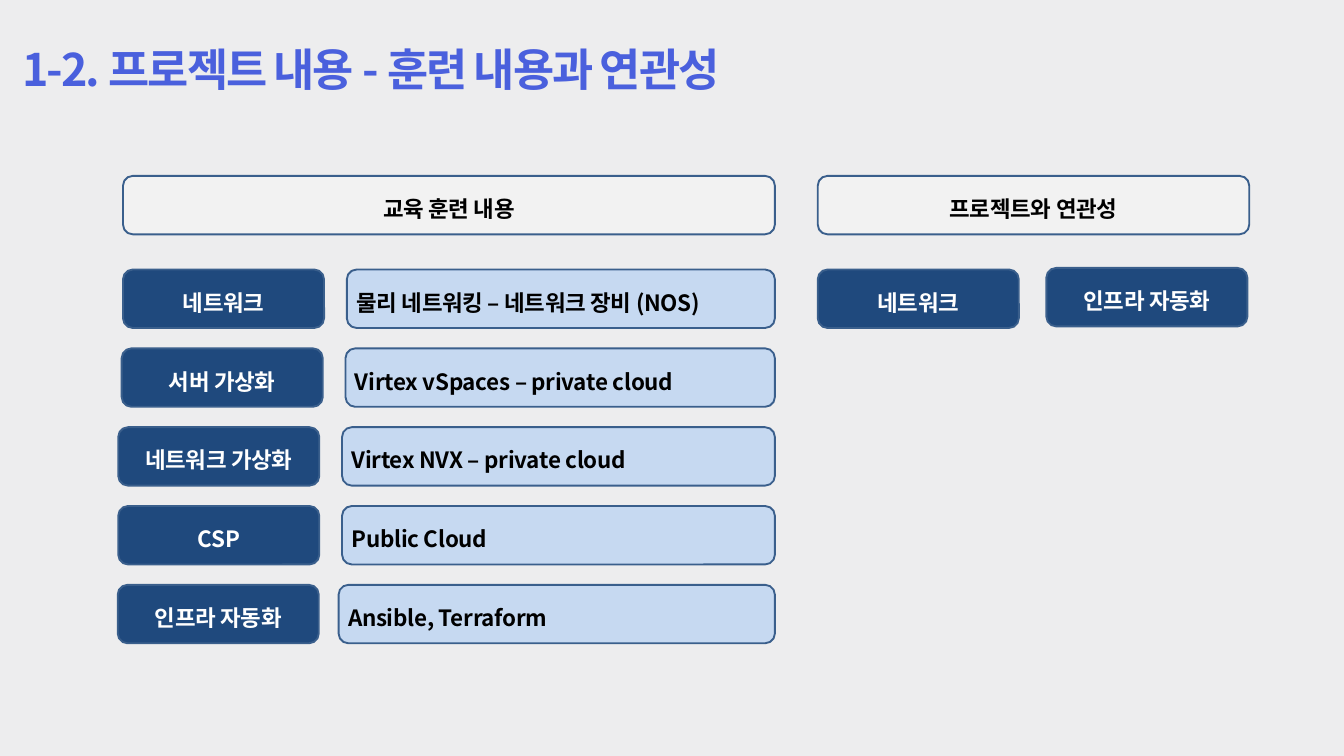
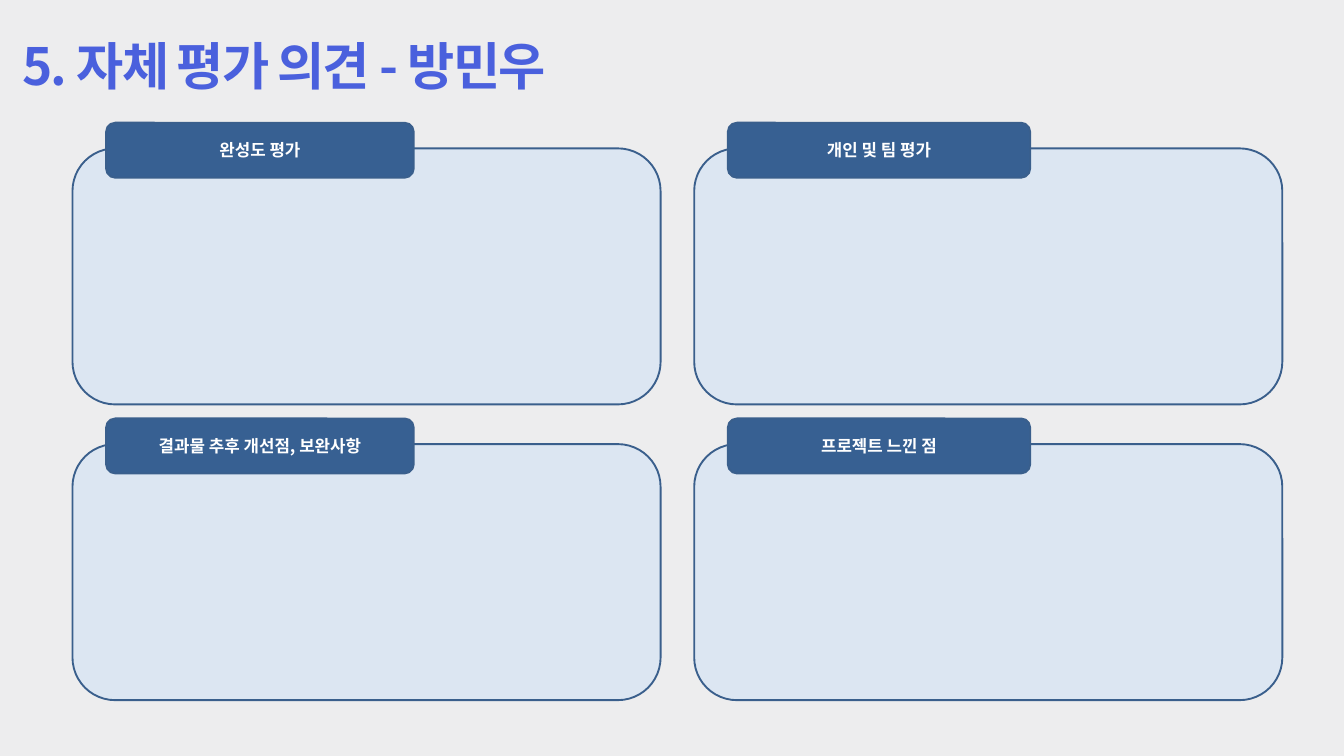
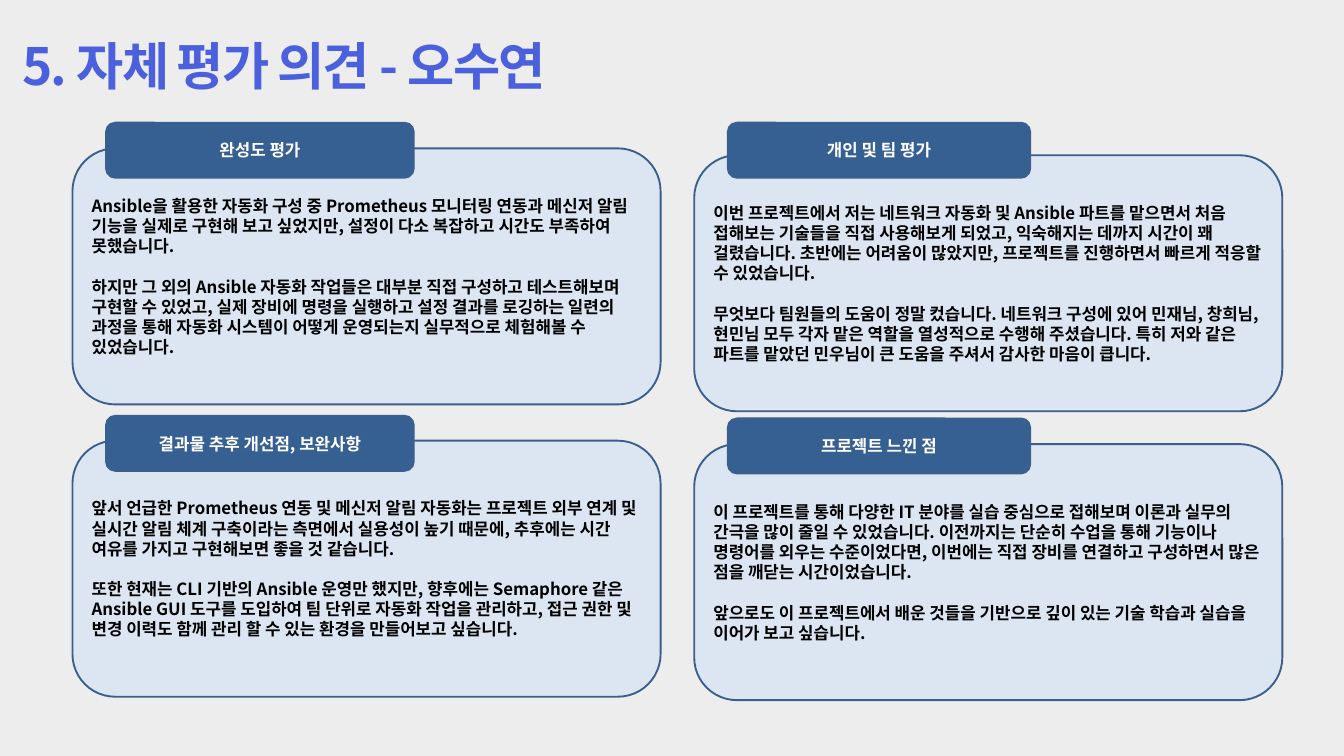
"""Build three slides on training relevance and self-evaluation."""
from dataclasses import dataclass

from lxml import etree
from pptx import Presentation
from pptx.dml.color import RGBColor
from pptx.enum.shapes import MSO_SHAPE
from pptx.enum.text import MSO_ANCHOR, PP_ALIGN
from pptx.oxml.ns import qn
from pptx.presentation import Presentation as Deck
from pptx.slide import Slide
from pptx.text.text import TextFrame
from pptx.util import Cm, Pt

ROUNDED = MSO_SHAPE.ROUNDED_RECTANGLE
MIDDLE = MSO_ANCHOR.MIDDLE
LEFT = PP_ALIGN.LEFT
CENTER = PP_ALIGN.CENTER

FONT = "Noto Sans CJK KR"
BACKGROUND = "EDEDEE"
TITLE_BLUE = "4A60DD"
OUTLINE = "3A5F8C"
NAVY = "1F497D"
PALE_BLUE = "C6D9F1"
LIGHT_GREY = "F2F2F2"
PANEL_BLUE = "DCE6F2"
TAB_BLUE = "376092"
WHITE = "FFFFFF"
BLACK = "000000"

BOX_HEIGHT = 2.21
LABEL_WIDTH = 7.6
HEADER_TOP = 6.65
ROW_TOP = 10.19
ROW_PITCH = 2.98
DETAIL_RIGHT = 29.29
RELEVANCE_LEFT = 30.91

PANEL_WIDTH = 22.23
PANEL_HEIGHT = 9.68
PANEL_LEFTS = (2.74, 26.24)
PANEL_TOPS = (5.61, 16.79)
TAB_WIDTHS = (11.63, 11.43)
TAB_HEIGHT = 2.08
TAB_INDENT = 1.27
TAB_RISE = 0.97


@dataclass(frozen=True)
class TextStyle:
    """Look of a text block; spacing values are in points."""
    size: float
    color: str
    align: PP_ALIGN = LEFT
    line_spacing: float | None = None
    tracking: float = 0
    paragraph_gap: float = 0


@dataclass(frozen=True)
class Area:
    """Rectangle in centimetres."""
    left: float
    top: float
    width: float
    height: float


@dataclass(frozen=True)
class TrainingRow:
    """Training subject with its detail box."""
    subject: str
    subject_left: float
    detail: str
    detail_left: float


@dataclass(frozen=True)
class Opinion:
    """Evaluation panel, with vertical shifts from the grid."""
    heading: str
    paragraphs: tuple[str, ...] = ()
    panel_shift: float = 0
    tab_shift: float = 0


LABEL = TextStyle(24, WHITE, CENTER, 36.4, -0.3)
HEADER = TextStyle(24, BLACK, CENTER, 36.4, -0.3)
DETAIL = TextStyle(24, BLACK, LEFT, 36.4, -0.3)
TAB = TextStyle(18, WHITE, CENTER)
BODY = TextStyle(18, BLACK, paragraph_gap=21.7)

TRAINING_ROWS = (
    TrainingRow("네트워크", 4.65, "물리 네트워킹 – 네트워크 장비 (NOS)", 13.11),
    TrainingRow("서버 가상화", 4.6, "Virtex vSpaces – private cloud", 13.06),
    TrainingRow("네트워크 가상화", 4.47, "Virtex NVX – private cloud", 12.93),
    TrainingRow("CSP", 4.47, "Public Cloud", 12.93),
    TrainingRow("인프라 자동화", 4.45, "Ansible, Terraform", 12.8),
)

HEADINGS = ("완성도 평가", "개인 및 팀 평가", "결과물 추후 개선점, 보완사항", "프로젝트 느낀 점")

BLANK_OPINIONS = tuple(Opinion(heading) for heading in HEADINGS)
WRITTEN_OPINIONS = (
    Opinion(HEADINGS[0], (
        "Ansible을 활용한 자동화 구성 중 Prometheus 모니터링 연동과 메신저 알림 기능을 실제로 구현해 보고 "
        "싶었지만, 설정이 다소 복잡하고 시간도 부족하여 못했습니다.",
        "하지만 그 외의 Ansible 자동화 작업들은 대부분 직접 구성하고 테스트해보며 구현할 수 있었고, "
        "실제 장비에 명령을 실행하고 설정 결과를 로깅하는 일련의 과정을 통해 자동화 시스템이 어떻게 "
        "운영되는지 실무적으로 체험해볼 수 있었습니다.",
    )),
    Opinion(HEADINGS[1], (
        "이번 프로젝트에서 저는 네트워크 자동화 및 Ansible 파트를 맡으면서 처음 접해보는 기술들을 직접 "
        "사용해보게 되었고, 익숙해지는 데까지 시간이 꽤 걸렸습니다. 초반에는 어려움이 많았지만, "
        "프로젝트를 진행하면서 빠르게 적응할 수 있었습니다.",
        "무엇보다 팀원들의 도움이 정말 컸습니다. 네트워크 구성에 있어 민재님, 창희님, 현민님 모두 각자 "
        "맡은 역할을 열성적으로 수행해 주셨습니다. 특히 저와 같은 파트를 맡았던 민우님이 큰 도움을 "
        "주셔서 감사한 마음이 큽니다.",
    ), panel_shift=0.26),
    Opinion(HEADINGS[2], (
        "앞서 언급한 Prometheus 연동 및 메신저 알림 자동화는 프로젝트 외부 연계 및 실시간 알림 체계 "
        "구축이라는 측면에서 실용성이 높기 때문에, 추후에는 시간 여유를 가지고 구현해보면 좋을 것 같습니다.",
        "또한 현재는 CLI 기반의 Ansible 운영만 했지만, 향후에는 Semaphore 같은 Ansible GUI 도구를 "
        "도입하여 팀 단위로 자동화 작업을 관리하고, 접근 권한 및 변경 이력도 함께 관리 할 수 있는 "
        "환경을 만들어보고 싶습니다.",
    ), panel_shift=-0.13, tab_shift=-0.1),
    Opinion(HEADINGS[3], (
        "이 프로젝트를 통해 다양한 IT 분야를 실습 중심으로 접해보며 이론과 실무의 간극을 많이 줄일 수 "
        "있었습니다. 이전까지는 단순히 수업을 통해 기능이나 명령어를 외우는 수준이었다면, 이번에는 직접 "
        "장비를 연결하고 구성하면서 많은 점을 깨닫는 시간이었습니다.",
        "앞으로도 이 프로젝트에서 배운 것들을 기반으로 깊이 있는 기술 학습과 실습을 이어가 보고 싶습니다.",
    )),
)


def rgb(color: str) -> RGBColor:
    """Turn a hex string into a colour."""
    return RGBColor.from_string(color)


def write_text(frame: TextFrame, paragraphs: tuple[str, ...], style: TextStyle) -> None:
    """Fill a text frame with bold paragraphs in one style."""
    frame.word_wrap = True
    for index, text in enumerate(paragraphs):
        paragraph = frame.add_paragraph() if index else frame.paragraphs[0]
        paragraph.text = text
        paragraph.alignment = style.align
        if style.line_spacing:
            paragraph.line_spacing = Pt(style.line_spacing)
        if index:
            paragraph.space_before = Pt(style.paragraph_gap)
        font = paragraph.font
        font.name = FONT
        font.size = Pt(style.size)
        font.bold = True
        font.color.rgb = rgb(style.color)
        properties = paragraph._p.pPr.find(qn("a:defRPr"))
        if style.tracking:
            properties.set("spc", str(round(style.tracking * 100)))
        east_asian = etree.Element(qn("a:ea"), typeface=FONT)
        properties.find(qn("a:latin")).addnext(east_asian)


def add_box(slide: Slide, area: Area, fill: str, style: TextStyle, *paragraphs: str) -> None:
    """Draw an outlined rounded box, with text if any is given."""
    shape = slide.shapes.add_shape(
        ROUNDED, Cm(area.left), Cm(area.top), Cm(area.width), Cm(area.height))
    shape.shadow.inherit = False
    shape.fill.solid()
    shape.fill.fore_color.rgb = rgb(fill)
    shape.line.color.rgb = rgb(OUTLINE)
    shape.line.width = Pt(2)
    shape.text_frame.vertical_anchor = MIDDLE
    write_text(shape.text_frame, paragraphs, style)


def add_titled_slide(presentation: Deck, title: str, size: float, area: Area) -> Slide:
    """Add a blank slide with the shared background and title style."""
    slide = presentation.slides.add_slide(presentation.slide_layouts[6])
    slide.background.fill.solid()
    slide.background.fill.fore_color.rgb = rgb(BACKGROUND)
    text_box = slide.shapes.add_textbox(
        Cm(area.left), Cm(area.top), Cm(area.width), Cm(area.height))
    frame = text_box.text_frame
    frame.margin_left = frame.margin_top = frame.margin_right = frame.margin_bottom = 0
    write_text(frame, (title,), TextStyle(size, TITLE_BLUE, LEFT, 70, -2.1))
    return slide


def add_training_slide(presentation: Deck) -> None:
    """Set training subjects beside their relevance to the project."""
    slide = add_titled_slide(presentation, "1-2. 프로젝트 내용 - 훈련 내용과 연관성", 48,
                             Area(0.84, 1.14, 39.17, 2.34))
    add_box(slide, Area(4.65, HEADER_TOP, 24.64, BOX_HEIGHT), LIGHT_GREY, HEADER, "교육 훈련 내용")
    add_box(slide, Area(RELEVANCE_LEFT, HEADER_TOP, 16.31, BOX_HEIGHT), LIGHT_GREY, HEADER,
            "프로젝트와 연관성")
    for index, row in enumerate(TRAINING_ROWS):
        top = ROW_TOP + index * ROW_PITCH
        add_box(slide, Area(row.subject_left, top, LABEL_WIDTH, BOX_HEIGHT), NAVY, LABEL,
                row.subject)
        add_box(slide, Area(row.detail_left, top, DETAIL_RIGHT - row.detail_left, BOX_HEIGHT),
                PALE_BLUE, DETAIL, row.detail)
    for subject, left, top in (("네트워크", RELEVANCE_LEFT, ROW_TOP),
                               ("인프라 자동화", 39.55, 10.13)):
        add_box(slide, Area(left, top, LABEL_WIDTH, BOX_HEIGHT), NAVY, LABEL, subject)


def add_opinion_slide(presentation: Deck, author: str, opinions: tuple[Opinion, ...]) -> None:
    """Lay out four evaluation panels, each with a heading tab."""
    slide = add_titled_slide(presentation, f"5. 자체 평가 의견 - {author}", 55,
                             Area(0.84, 1.14, 40.51, 2.49))
    for index, opinion in enumerate(opinions):
        row, column = divmod(index, 2)
        left, top = PANEL_LEFTS[column], PANEL_TOPS[row]
        add_box(slide, Area(left, top + opinion.panel_shift, PANEL_WIDTH, PANEL_HEIGHT),
                PANEL_BLUE, BODY, *opinion.paragraphs)
        add_box(slide, Area(left + TAB_INDENT, top - TAB_RISE + opinion.tab_shift,
                            TAB_WIDTHS[column], TAB_HEIGHT), TAB_BLUE, TAB, opinion.heading)


def main() -> None:
    """Build and save the presentation."""
    presentation = Presentation()
    presentation.slide_width = Cm(50.8)
    presentation.slide_height = Cm(28.58)
    add_training_slide(presentation)
    add_opinion_slide(presentation, "방민우", BLANK_OPINIONS)
    add_opinion_slide(presentation, "오수연", WRITTEN_OPINIONS)
    presentation.save("out.pptx")


if __name__ == "__main__":
    main()
